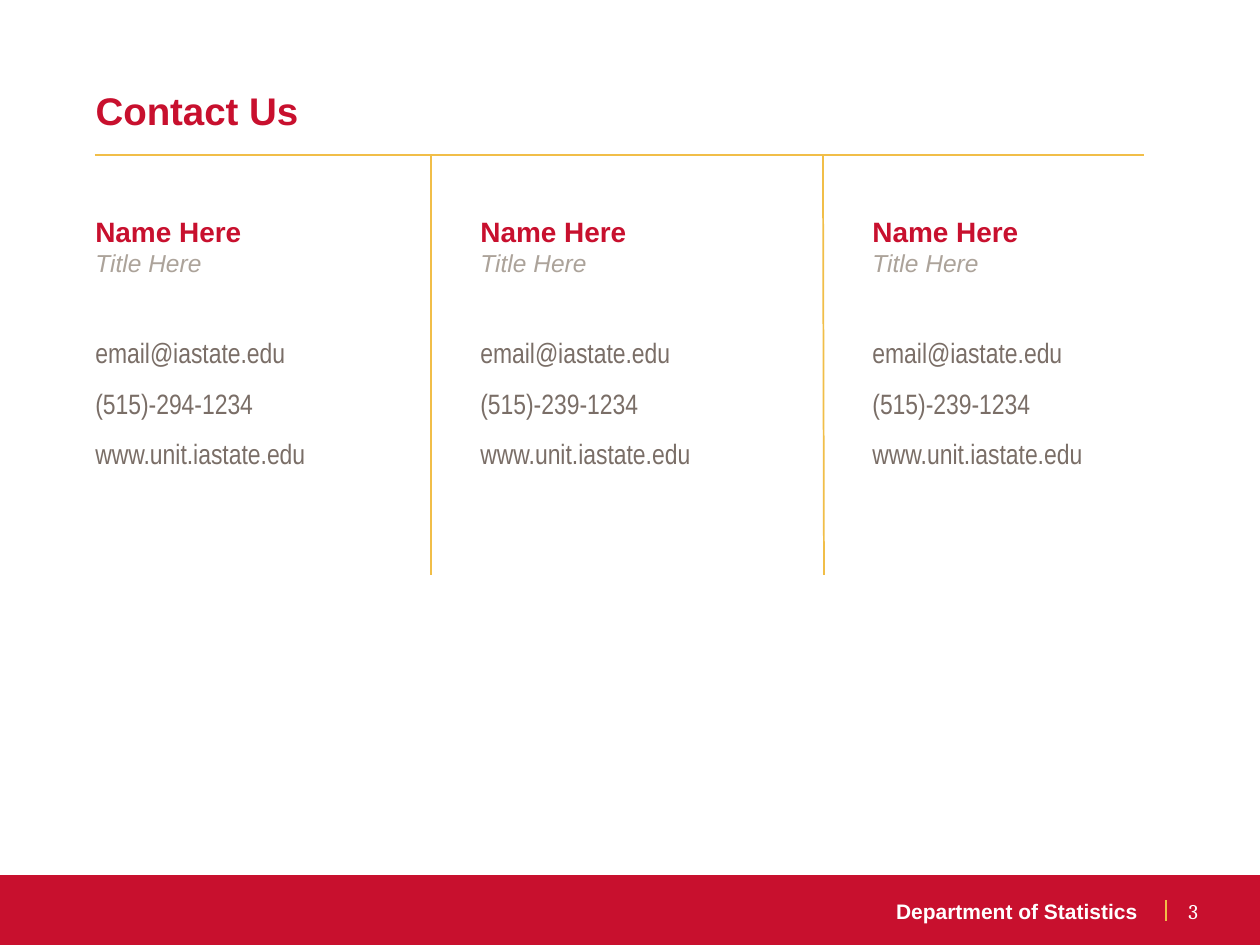
"""Build the contact slide with three columns and a footer band."""
import pptx
import pptx.util
import pptx.dml.color
import pptx.enum.shapes
import pptx.enum.text
from pptx.oxml.ns import qn
from lxml import etree

Pt = pptx.util.Pt
Align = pptx.enum.text.PP_ALIGN
Anchor = pptx.enum.text.MSO_ANCHOR
RECT = pptx.enum.shapes.MSO_SHAPE.RECTANGLE
LINE = pptx.enum.shapes.MSO_CONNECTOR.STRAIGHT
RED, GOLD, WHITE = "C8102E", "F1BE48", "FFFFFF"
SCALE = 914400 / 126


def px(*nums):
    return [round(n * SCALE) for n in nums]


def paint(thing, tone):
    thing.rgb = pptx.dml.color.RGBColor.from_string(tone)


deck = pptx.Presentation()
deck.slide_width, deck.slide_height = px(1260, 945)
slide = deck.slides.add_slide(deck.slide_layouts[5])
shapes = slide.shapes

title = shapes.title
title.left, title.top, title.width, title.height = px(83, 81, 1068, 111)
frame = title.text_frame
frame.text = "Contact Us"
frame.word_wrap = True
frame.auto_size = pptx.enum.text.MSO_AUTO_SIZE.NONE
frame.vertical_anchor = Anchor.TOP
para = frame.paragraphs[0]
para.alignment = Align.LEFT
font = para.runs[0].font
font.name, font.size, font.bold = "Arial", Pt(22), True
paint(font.color, RED)

band = shapes.add_shape(RECT, *px(0, 875, 1260, 70))
band.shadow.inherit = False
band.fill.solid()
paint(band.fill.fore_color, RED)
band.line.fill.background()

labels = [
    ("Department of Statistics", (573, 892, 577, 39), "Arial", True, Align.RIGHT, Anchor.TOP),
    ("3", (1176, 892, 73, 38), "Cambria", False, Align.LEFT, Anchor.MIDDLE),
]
for text, spot, face, bold, side, hold in labels:
    frame = shapes.add_textbox(*px(*spot)).text_frame
    frame.word_wrap = True
    frame.vertical_anchor = hold
    frame.text = text
    para = frame.paragraphs[0]
    para.alignment = side
    font = para.runs[0].font
    font.name, font.size, font.bold = face, Pt(12), bold
    paint(font.color, WHITE)

styles = [
    ("Arial", 16, RED, True, False, 1, 0),
    ("Arial", 14, "ACA39A", False, True, 1, 0),
    ("Arial Narrow", 16, "7A6E67", False, False, 1.5, 24),
    ("Arial Narrow", 16, "7A6E67", False, False, 1.5, 0),
    ("Arial Narrow", 16, "7A6E67", False, False, 1.5, 0),
]
people = [
    (83, 316, "(515)-294-1234"),
    (468, 324, "(515)-239-1234"),
    (860, 284, "(515)-239-1234"),
]
for left, width, phone in people:
    card = shapes.add_shape(RECT, *px(left, 208, width, 273))
    card.shadow.inherit = False
    card.fill.solid()
    paint(card.fill.fore_color, WHITE)
    card.line.fill.background()
    frame = card.text_frame
    frame.word_wrap = True
    frame.vertical_anchor = Anchor.TOP
    rows = ["Name Here", "Title Here", "email@iastate.edu", phone, "www.unit.iastate.edu"]
    frame.text = "\n".join(rows)
    for para, style in zip(frame.paragraphs, styles):
        face, size, tone, bold, slant, pitch, gap = style
        para.alignment = Align.LEFT
        para.line_spacing = pitch
        para.space_before = Pt(gap)
        font = para.runs[0].font
        font.name, font.size, font.bold, font.italic = face, Pt(size), bold, slant
        paint(font.color, tone)

rules = [
    (95, 155, 1144, 155, 1),
    (431, 155, 431, 575, 1),
    (823, 155, 824, 575, 1),
    (1166, 900, 1166, 921, 0.75),
]
for *ends, thick in rules:
    rule = shapes.add_connector(LINE, *px(*ends))
    rule.line.width = Pt(thick)
    paint(rule.line.color, GOLD)
    etree.SubElement(rule._element.spPr, qn("a:effectLst"))

deck.save("out.pptx")
